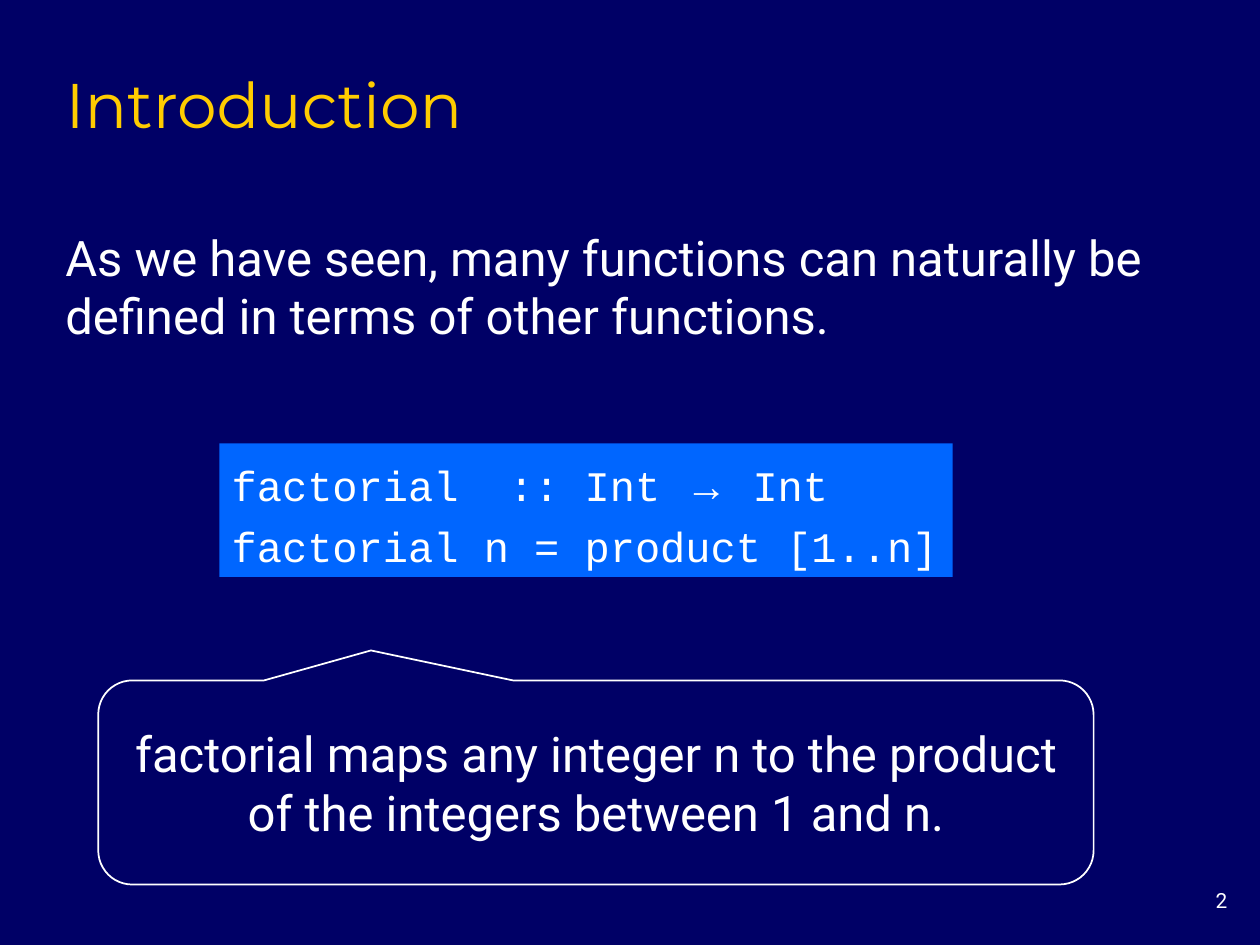
from pptx import Presentation
from pptx.dml.color import RGBColor
from pptx.enum.shapes import MSO_SHAPE as Shape
from pptx.enum.text import MSO_ANCHOR as Anchor, MSO_AUTO_SIZE as AutoSize, PP_ALIGN as Align
from pptx.util import Inches, Pt

COLORS = {"navy": "000066", "gold": "FFCC00", "blue": "0066FF", "white": "FFFFFF"}
BODY, HEADING, CODE, SYMBOL = "Roboto", "Montserrat", "Courier New", "Arial"


def color(name):
    """Return the named palette color."""
    return RGBColor.from_string(COLORS[name])


def inches(box):
    """Convert a left, top, width, height box to lengths."""
    return [Inches(value) for value in box]


def write(shape, lines, font=BODY, size=28, ink="white", align=Align.LEFT,
          anchor=Anchor.MIDDLE, spacing=1.0, wrap=True):
    """Fill a shape with lines, each a string or a list of (text, font) spans."""
    frame = shape.text_frame
    frame.auto_size = AutoSize.NONE
    frame.word_wrap = wrap
    frame.vertical_anchor = anchor
    for index, line in enumerate(lines):
        para = frame.add_paragraph() if index else frame.paragraphs[0]
        para.alignment = align
        para.line_spacing = spacing
        for text, face in [(line, font)] if isinstance(line, str) else line:
            span = para.add_run()
            span.text = text
            span.font.name = face
            span.font.size = Pt(size)
            span.font.color.rgb = color(ink)


def add_title(page, box, text):
    """Place the slide title."""
    title = page.shapes.title
    title.left, title.top, title.width, title.height = inches(box)
    write(title, [text], font=HEADING, size=36, ink="gold", anchor=Anchor.BOTTOM)


def add_text(page, box, text, **style):
    """Place a plain text box."""
    write(page.shapes.add_textbox(*inches(box)), [text], **style)


def add_code(page, box, lines):
    """Place a filled panel of code."""
    panel = page.shapes.add_shape(Shape.RECTANGLE, *inches(box))
    panel.shadow.inherit = False
    panel.fill.solid()
    panel.fill.fore_color.rgb = color("blue")
    panel.line.fill.background()
    write(panel, lines, font=CODE, size=24, spacing=1.2, wrap=False)


def add_callout(page, box, text):
    """Place an outlined callout pointing up at the code."""
    callout = page.shapes.add_shape(Shape.ROUNDED_RECTANGULAR_CALLOUT, *inches(box))
    callout.shadow.inherit = False
    callout.adjustments[0] = -0.226
    callout.adjustments[1] = -0.647
    callout.adjustments[2] = 0.167
    callout.fill.background()
    callout.line.color.rgb = color("white")
    callout.line.width = Pt(1)
    write(callout, [text], align=Align.CENTER)


def main():
    """Build the slide and save the deck."""
    deck = Presentation()
    deck.slide_width, deck.slide_height = Inches(10), Inches(7.5)
    page = deck.slides.add_slide(deck.slide_layouts.get_by_name("Title Only"))
    page.background.fill.solid()
    page.background.fill.fore_color.rgb = color("navy")

    add_text(page, (9.17, 7, 0.67, 0.33), "2", size=11.9, align=Align.RIGHT, anchor=Anchor.TOP)
    add_title(page, (0.42, 0.42, 8.5, 0.75), "Introduction")
    add_text(page, (0.42, 1.75, 9.15, 1.04),
             "As we have seen, many functions can naturally be defined in terms of other functions.")
    add_code(page, (1.74, 3.52, 5.82, 1.06), [
        [("factorial  :: Int ", CODE), ("→", SYMBOL), (" Int", CODE)],
        "factorial n = product [1..n]",
    ])
    add_callout(page, (0.78, 5.4, 7.9, 1.62),
                "factorial maps any integer n to the product of the integers between 1 and n.")
    deck.save("out.pptx")


if __name__ == "__main__":
    main()
